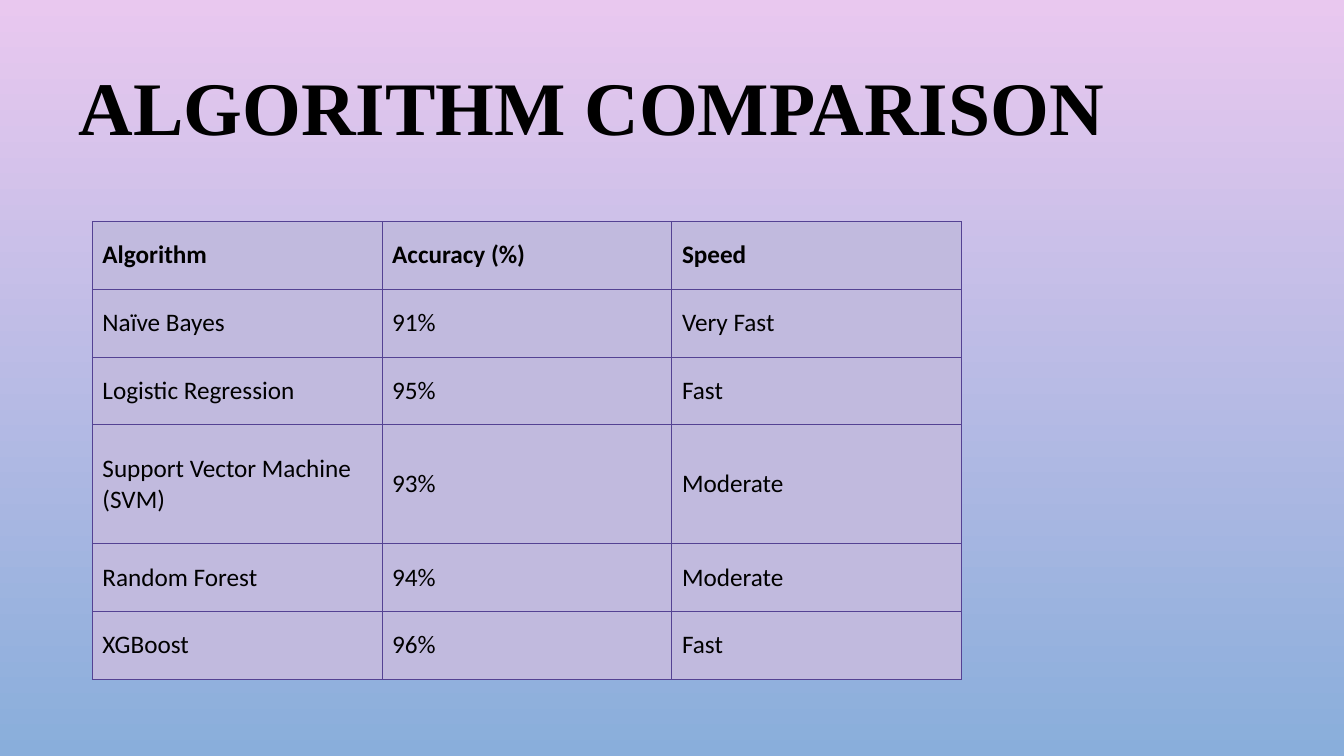
from lxml.etree import SubElement as Sub
from pptx import Presentation
from pptx.dml.color import RGBColor as Rgb
from pptx.enum.text import MSO_ANCHOR as Anchor, PP_ALIGN as Align
from pptx.oxml.ns import qn
from pptx.util import Pt

COLORS = {
    "top": "E9C8EF",
    "base": "89AEDB",
    "cell": "C1BADE",
    "line": "544293",
    "text": "000000",
}
ROWS = [
    ("Algorithm", "Accuracy (%)", "Speed"),
    ("Naïve Bayes", "91%", "Very Fast"),
    ("Logistic Regression", "95%", "Fast"),
    ("Support Vector Machine (SVM)", "93%", "Moderate"),
    ("Random Forest", "94%", "Moderate"),
    ("XGBoost", "96%", "Fast"),
]
HEIGHTS = [48.4, 48.4, 48.4, 85, 48.4, 48.4]
WIDTH = 207


def color(name):
    return Rgb.from_string(COLORS[name])


def write(frame, text, font="Calibri", size=18, bold=False,
          align=Align.LEFT, space=1.0):
    para = frame.paragraphs[0]
    para.alignment = align
    para.line_spacing = space
    run = para.add_run()
    run.text = text
    run.font.name = font
    run.font.size = Pt(size)
    run.font.bold = bold
    run.font.color.rgb = color("text")


def paint(slide):
    fill = slide.background.fill
    fill.gradient()
    fill.gradient_angle = 270
    for stop, name, place in zip(fill.gradient_stops, ("top", "base"), (0, 1)):
        stop.color.rgb = color(name)
        stop.position = place


def add_title(slide, text):
    box = slide.shapes.add_textbox(Pt(8.6), Pt(27.4), Pt(828), Pt(104.4))
    frame = box.text_frame
    frame.word_wrap = True
    frame.vertical_anchor = Anchor.MIDDLE
    write(frame, text, font="Times New Roman", size=54, bold=True,
          align=Align.CENTER, space=0.9)


def outline(cell):
    props = cell._tc.get_or_add_tcPr()
    for side in "LRTB":
        line = Sub(props, qn(f"a:ln{side}"), w=str(Pt(0.75)))
        fill = Sub(line, qn("a:solidFill"))
        Sub(fill, qn("a:srgbClr"), val=COLORS["line"])


def add_grid(slide):
    count = len(ROWS[0])
    frame = slide.shapes.add_table(len(ROWS), count, Pt(66), Pt(158.2),
                                   Pt(WIDTH * count), Pt(sum(HEIGHTS)))
    table = frame.table
    table.horz_banding = False
    for col in table.columns:
        col.width = Pt(WIDTH)
    for r, (row, height) in enumerate(zip(ROWS, HEIGHTS)):
        table.rows[r].height = Pt(height)
        for c, text in enumerate(row):
            cell = table.cell(r, c)
            outline(cell)
            cell.fill.solid()
            cell.fill.fore_color.rgb = color("cell")
            cell.vertical_anchor = Anchor.MIDDLE
            write(cell.text_frame, text, bold=r == 0)


def main():
    deck = Presentation()
    deck.slide_width = Pt(960)
    deck.slide_height = Pt(540)
    slide = deck.slides.add_slide(deck.slide_layouts[6])
    paint(slide)
    add_title(slide, "ALGORITHM COMPARISON")
    add_grid(slide)
    deck.save("out.pptx")


if __name__ == "__main__":
    main()
